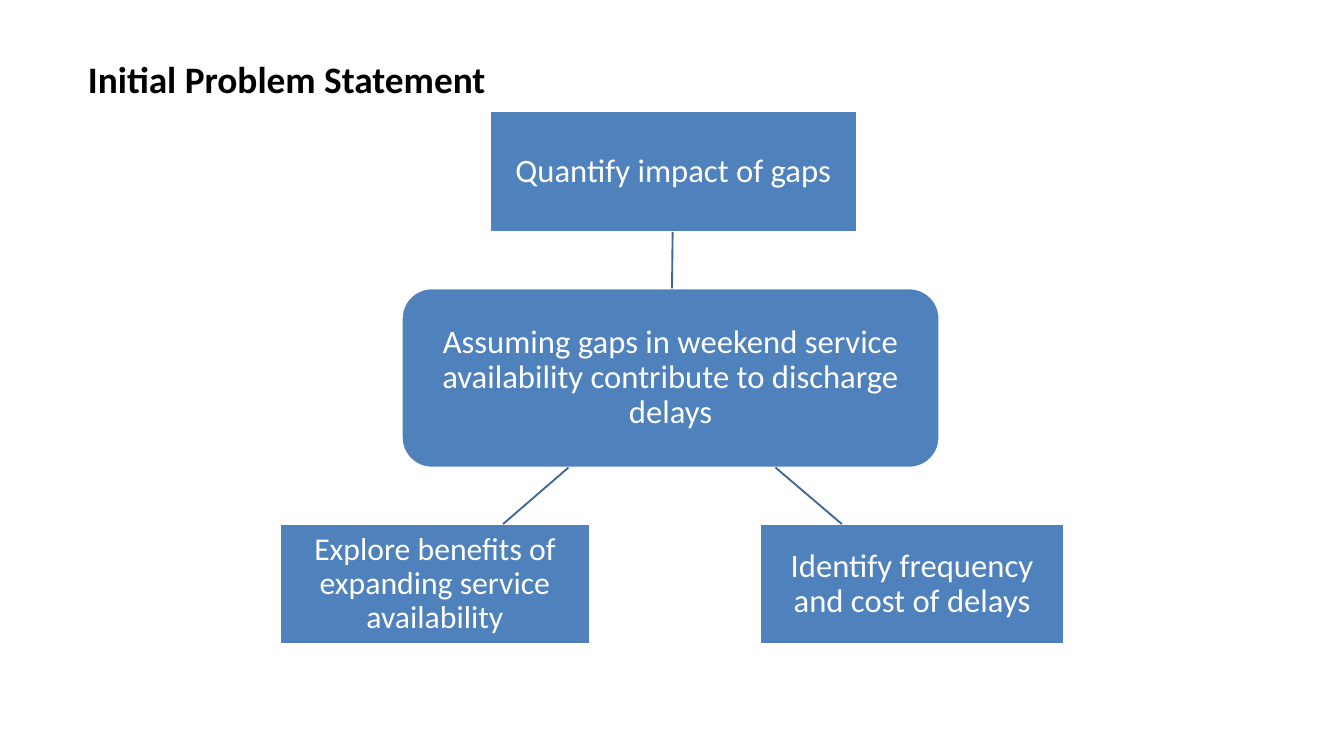
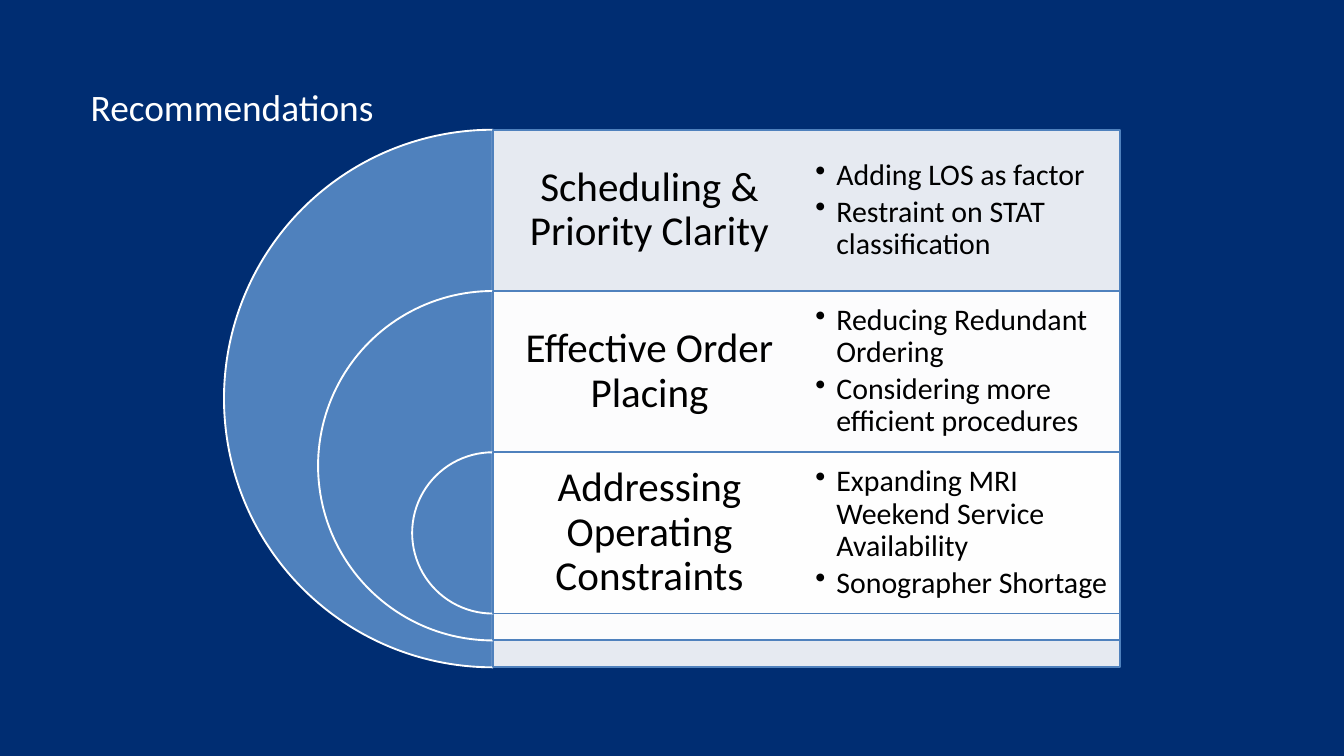
from lxml import etree
from pptx import Presentation
from pptx.dml.color import RGBColor
from pptx.enum import shapes, text
from pptx.oxml import ns
from pptx.util import Pt

FONT = "Calibri"
WHITE, BLACK = "FFFFFF", "000000"
BLUE, LINK_BLUE, NAVY = "4F81BD", "3F6797", "002D72"
LINE_WIDTH = 2
LINE_SPACING = 0.9
SHAPE = shapes.MSO_SHAPE
CENTER, LEFT = text.PP_ALIGN.CENTER, text.PP_ALIGN.LEFT

# wording, preset, (left, top, width, height), text size
PROBLEM_BOXES = [
    ("Assuming gaps in weekend service availability contribute to discharge delays",
     SHAPE.ROUNDED_RECTANGLE, (430.5, 309, 576, 192), 35),
    ("Quantify impact of gaps", SHAPE.RECTANGLE, (525, 119.5, 393, 129), 35),
    ("Identify frequency and cost of delays", SHAPE.RECTANGLE, (814.5, 561.5, 325.5, 129), 35),
    ("Explore benefits of expanding service availability",
     SHAPE.RECTANGLE, (300, 561.5, 332, 129), 34),
]
PROBLEM_LINKS = [(720, 309, 720.7, 248.5), (831, 501, 902, 561.5), (609, 501, 539, 561.5)]

RECOMMENDATIONS = [
    ("Scheduling & Priority Clarity",
     ["Adding LOS as factor", "Restraint on STAT classification"]),
    ("Effective Order Placing",
     ["Reducing Redundant Ordering", "Considering more efficient procedures"]),
    ("Addressing Operating Constraints",
     ["Expanding MRI Weekend Service Availability", "Sonographer Shortage"]),
]
PANEL_LEFT, PANEL_TOP, COLUMN_WIDTH = 528, 139, 336
ROW_HEIGHT, OUTER_SIZE, SIZE_STEP = 172.8, 576, 201.6


def rgb(value):
    return RGBColor.from_string(value)


def set_font(para, size, color, bold=False):
    para.font.name = FONT
    para.font.size = Pt(size)
    para.font.bold = bold
    para.font.color.rgb = rgb(color)


def add_slide(deck, background, title, title_color, left, top, bold=False):
    slide = deck.slides.add_slide(deck.slide_layouts[5])
    slide.background.fill.solid()
    slide.background.fill.fore_color.rgb = rgb(background)
    box = slide.shapes.title
    box.left, box.top, box.width, box.height = map(Pt, (left, top, 1290, 55.5))
    frame = box.text_frame
    frame.text = title
    frame.word_wrap = True
    frame.auto_size = text.MSO_AUTO_SIZE.NONE
    frame.vertical_anchor = text.MSO_ANCHOR.TOP
    frame.paragraphs[0].alignment = LEFT
    set_font(frame.paragraphs[0], 40, title_color, bold)
    return slide


def add_shape(slide, preset, place, fill, line, opacity=100):
    shape = slide.shapes.add_shape(preset, *map(Pt, place))
    shape.shadow.inherit = False
    shape.fill.solid()
    shape.fill.fore_color.rgb = rgb(fill)
    if opacity < 100:
        color = shape.fill._xPr.find(".//" + ns.qn("a:srgbClr"))
        etree.SubElement(color, ns.qn("a:alpha"), val=str(opacity * 1000))
    shape.line.color.rgb = rgb(line)
    shape.line.width = Pt(LINE_WIDTH)
    return shape


def add_link(slide, ends):
    link = slide.shapes.add_connector(shapes.MSO_CONNECTOR.STRAIGHT, *map(Pt, ends))
    link.line.color.rgb = rgb(LINK_BLUE)
    link.line.width = Pt(LINE_WIDTH)
    etree.SubElement(link._element.spPr, ns.qn("a:effectLst"))


def add_bullet(para, indent):
    properties = para._p.get_or_add_pPr()
    properties.set("marL", str(Pt(indent)))
    properties.set("indent", str(-Pt(indent)))
    etree.SubElement(properties, ns.qn("a:buChar"), char="•")


def write(box, lines, size, color, inset, bulleted=False):
    """Fill a box with vertically centred paragraphs, centred or bulleted."""
    frame = box.text_frame
    frame.word_wrap = True
    frame.vertical_anchor = text.MSO_ANCHOR.MIDDLE
    frame.margin_left = frame.margin_right = Pt(inset)
    frame.margin_top = frame.margin_bottom = Pt(inset)
    frame.text = "\n".join(lines)
    for index, para in enumerate(frame.paragraphs):
        if bulleted:
            add_bullet(para, 22.5)
        para.alignment = LEFT if bulleted else CENTER
        para.line_spacing = LINE_SPACING
        if index:
            para.space_before = Pt(0.15 * size)
        set_font(para, size, color)


def add_text(slide, place, *content, **options):
    write(slide.shapes.add_textbox(*map(Pt, place)), *content, **options)


def build_problem(deck):
    slide = add_slide(deck, WHITE, "Initial Problem Statement", BLACK, 87, 57, bold=True)
    for wording, preset, place, size in PROBLEM_BOXES:
        box = add_shape(slide, preset, place, BLUE, WHITE)
        write(box, [wording], size, WHITE, 0.2 * size)
    for ends in PROBLEM_LINKS:
        add_link(slide, ends)


def build_recommendations(deck):
    slide = add_slide(deck, NAVY, "Recommendations", WHITE, 90, 87)
    for row, (heading, points) in enumerate(RECOMMENDATIONS):
        top = PANEL_TOP + row * ROW_HEIGHT
        size = OUTER_SIZE - row * SIZE_STEP
        pie = add_shape(slide, SHAPE.PIE, (PANEL_LEFT - size / 2, top, size, size), BLUE, WHITE)
        pie.adjustments[0], pie.adjustments[1] = 54, 162  # left half
        add_shape(slide, SHAPE.RECTANGLE, (PANEL_LEFT, top, 2 * COLUMN_WIDTH, size),
                  WHITE, BLUE, opacity=90)
        add_text(slide, (PANEL_LEFT, top, COLUMN_WIDTH, ROW_HEIGHT),
                 [heading], 44, BLACK, 13.2)
        add_text(slide, (PANEL_LEFT + COLUMN_WIDTH, top, COLUMN_WIDTH, ROW_HEIGHT),
                 points, 32, BLACK, 9.6, bulleted=True)


def main():
    deck = Presentation()
    deck.slide_width, deck.slide_height = Pt(1440), Pt(810)
    build_problem(deck)
    build_recommendations(deck)
    deck.save("out.pptx")


if __name__ == "__main__":
    main()
